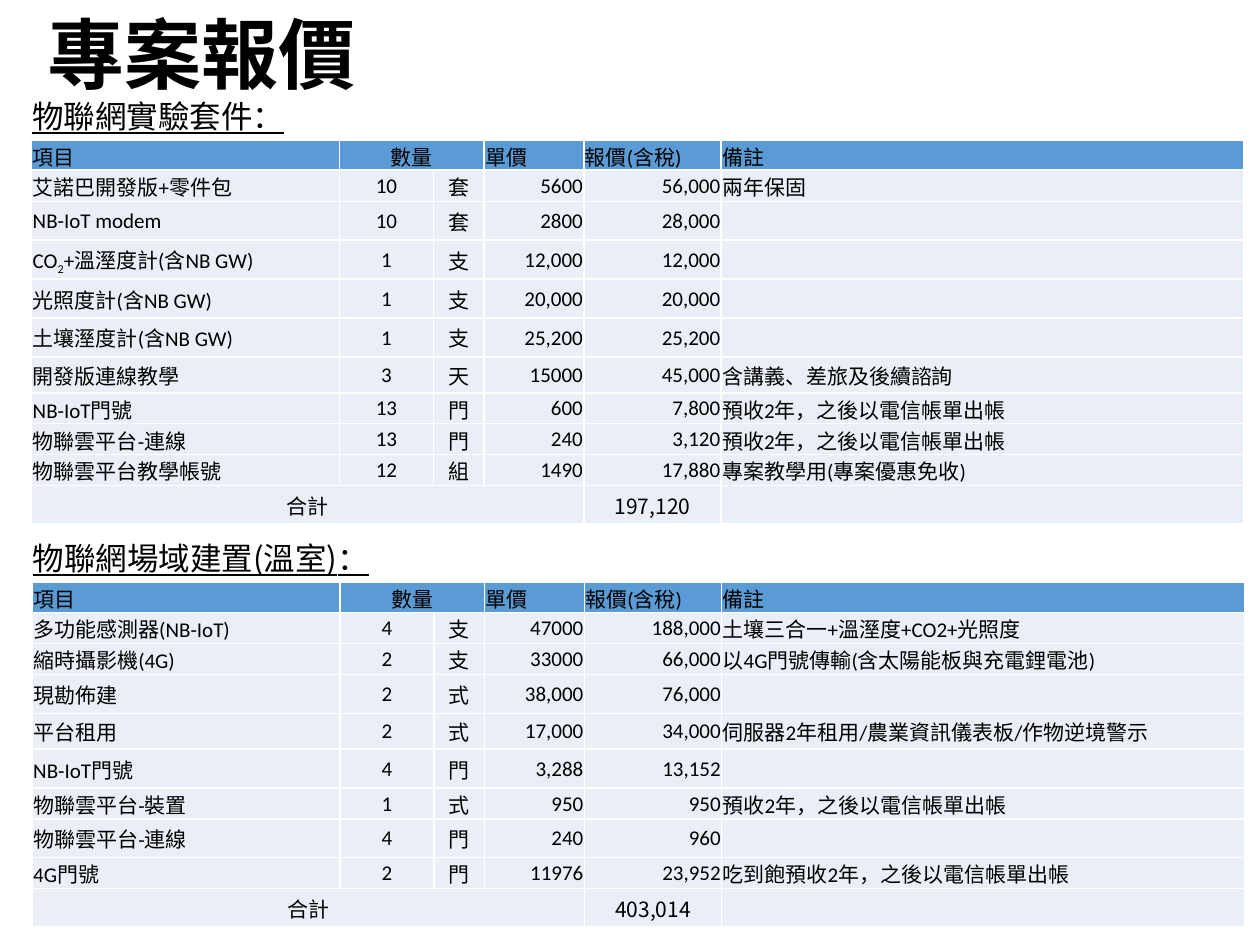
import dataclasses

import lxml.etree
import pptx
import pptx.dml.color
import pptx.enum.text
import pptx.oxml.ns
import pptx.util

Cm = pptx.util.Cm
ALIGN = pptx.enum.text.PP_ALIGN
MIDDLE = pptx.enum.text.MSO_ANCHOR.MIDDLE


@dataclasses.dataclass(frozen=True)
class Theme:
    """Colours, fonts and type sizes of the deck."""
    ink: str = "000000"
    header: str = "5B9BD5"
    body: str = "EAEFF7"
    border: str = "FFFFFF"
    border_width: float = 1
    latin: str = "Calibri"
    asian: str = "Noto Sans CJK SC"
    title: int = 44
    heading: int = 18
    small: int = 12


THEME = Theme()
COLUMNS = (6.2, 1.9, 1.02, 2.01, 2.77, 10.54)
HEADER = ("項目", "數量", "", "單價", "報價(含稅)", "備註")
HEADER_ALIGN = (ALIGN.LEFT, ALIGN.CENTER, ALIGN.CENTER, ALIGN.LEFT, ALIGN.LEFT, ALIGN.LEFT)
BODY_ALIGN = (ALIGN.LEFT, ALIGN.CENTER, ALIGN.CENTER, ALIGN.RIGHT, ALIGN.RIGHT, ALIGN.LEFT)
BILLING = "預收2年，之後以電信帳單出帳"

KIT_ROWS = (
    ("艾諾巴開發版+零件包", "10", "套", "5600", "56,000", "兩年保固"),
    ("NB-IoT modem", "10", "套", "2800", "28,000", ""),
    (("CO", "2", "+溫溼度計(含NB GW)"), "1", "支", "12,000", "12,000", ""),
    ("光照度計(含NB GW)", "1", "支", "20,000", "20,000", ""),
    ("土壤溼度計(含NB GW)", "1", "支", "25,200", "25,200", ""),
    ("開發版連線教學", "3", "天", "15000", "45,000", "含講義、差旅及後續諮詢"),
    ("NB-IoT門號", "13", "門", "600", "7,800", BILLING),
    ("物聯雲平台-連線", "13", "門", "240", "3,120", BILLING),
    ("物聯雲平台教學帳號", "12", "組", "1490", "17,880", "專案教學用(專案優惠免收)"),
)
KIT_HEIGHTS = [0.6, 0.63] + [0.76] * 4 + [0.73] + [0.62] * 4

FIELD_ROWS = (
    ("多功能感測器(NB-IoT)", "4", "支", "47000", "188,000", "土壤三合一+溫溼度+CO2+光照度"),
    ("縮時攝影機(4G)", "2", "支", "33000", "66,000", "以4G門號傳輸(含太陽能板與充電鋰電池)"),
    ("現勘佈建", "2", "式", "38,000", "76,000", ""),
    ("平台租用", "2", "式", "17,000", "34,000", "伺服器2年租用/農業資訊儀表板/作物逆境警示"),
    ("NB-IoT門號", "4", "門", "3,288", "13,152", ""),
    ("物聯雲平台-裝置", "1", "式", "950", "950", BILLING),
    ("物聯雲平台-連線", "4", "門", "240", "960", ""),
    ("4G門號", "2", "門", "11976", "23,952", "吃到飽預收2年，之後以電信帳單出帳"),
)
FIELD_HEIGHTS = [0.61, 0.62, 0.63, 0.76, 0.72, 0.76] + [0.62] * 4


def set_all(target, values):
    """Set each named attribute of the target."""
    for name, value in values.items():
        setattr(target, name, value)


def add_span(para, text, font, baseline=None, **values):
    """Append one formatted span to a paragraph."""
    span = para.add_run()
    span.text = text
    set_all(span.font, {"name": font, "size": pptx.util.Pt(THEME.small), **values})
    span.font.color.rgb = pptx.dml.color.RGBColor.from_string(THEME.ink)
    properties = span.font._element
    lxml.etree.SubElement(properties, pptx.oxml.ns.qn("a:ea"), typeface=THEME.asian)
    if baseline is not None:
        properties.set("baseline", str(baseline))


def add_text(page, box, text, font=THEME.asian, align=ALIGN.LEFT, frame_values=None, **values):
    """Place one line of text in the given box."""
    frame = page.shapes.add_textbox(*map(Cm, box)).text_frame
    set_all(frame, {"word_wrap": True, **(frame_values or {})})
    para = frame.paragraphs[0]
    para.alignment = align
    add_span(para, text, font, **values)


def add_borders(cell):
    """Draw all four borders of a cell."""
    properties = cell._tc.get_or_add_tcPr()
    width = str(pptx.util.Pt(THEME.border_width))
    for index, side in enumerate(("a:lnL", "a:lnR", "a:lnT", "a:lnB")):
        line = lxml.etree.Element(pptx.oxml.ns.qn(side), w=width)
        fill = lxml.etree.SubElement(line, pptx.oxml.ns.qn("a:solidFill"))
        lxml.etree.SubElement(fill, pptx.oxml.ns.qn("a:srgbClr"), val=THEME.border)
        properties.insert(index, line)


def fill_cell(cell, content, align, colour, font):
    """Fill a cell; the second of several spans is a subscript."""
    set_all(cell, {"margin_left": Cm(0.02), "margin_right": Cm(0.02), "margin_top": Cm(0.02),
                   "margin_bottom": 0, "vertical_anchor": MIDDLE})
    cell.fill.solid()
    cell.fill.fore_color.rgb = pptx.dml.color.RGBColor.from_string(colour)
    add_borders(cell)
    para = cell.text_frame.paragraphs[0]
    para.alignment = align
    spans = (content,) if isinstance(content, str) else content
    for index, text in enumerate(filter(None, spans)):
        add_span(para, text, font, baseline=-25000 if index == 1 else None)


def add_quote(page, left, top, heading, rows, heights, total):
    """Place a heading and its price table below it."""
    add_text(page, (left, top, 24.26, 1.02), heading,
             size=pptx.util.Pt(THEME.heading), underline=True)
    lines = (HEADER, *rows, ("合計", "", "", "", total, ""))
    box = (left + 0.24, top + 1, sum(COLUMNS), sum(heights))
    table = page.shapes.add_table(len(lines), len(COLUMNS), *map(Cm, box)).table
    set_all(table, {"first_row": False, "horz_banding": False})
    for column, width in zip(table.columns, COLUMNS):
        column.width = Cm(width)
    last = len(lines) - 1
    for index, (line, height) in enumerate(zip(lines, heights)):
        table.rows[index].height = Cm(height)
        aligns = {0: HEADER_ALIGN, last: (ALIGN.CENTER,) * len(COLUMNS)}.get(index, BODY_ALIGN)
        colour = THEME.body if index else THEME.header
        font = THEME.asian if index == last else THEME.latin
        for column, (content, align) in enumerate(zip(line, aligns)):
            fill_cell(table.cell(index, column), content, align, colour, font)
    table.cell(0, 1).merge(table.cell(0, 2))
    table.cell(last, 0).merge(table.cell(last, 3))


def build_quotation(deck):
    """Add the quotation page with its two price tables."""
    page = deck.slides.add_slide(deck.slide_layouts[6])
    add_text(page, (17.93, 17.65, 5.72, 1.02), "11", THEME.latin, ALIGN.RIGHT,
             {"vertical_anchor": MIDDLE})
    add_text(page, (0, 0, 21.41, 2.13), "專案報價", frame_values={"margin_left": Cm(0.95)},
             size=pptx.util.Pt(THEME.title), bold=True)
    add_quote(page, 0.4, 1.83, "物聯網實驗套件：", KIT_ROWS, KIT_HEIGHTS, "197,120")
    add_quote(page, 0.41, 10.74, "物聯網場域建置(溫室)：", FIELD_ROWS, FIELD_HEIGHTS, "403,014")


def main():
    """Build and save the deck."""
    deck = pptx.Presentation()
    set_all(deck, {"slide_width": Cm(25.4), "slide_height": Cm(19.05)})
    build_quotation(deck)
    deck.save("out.pptx")


if __name__ == "__main__":
    main()
